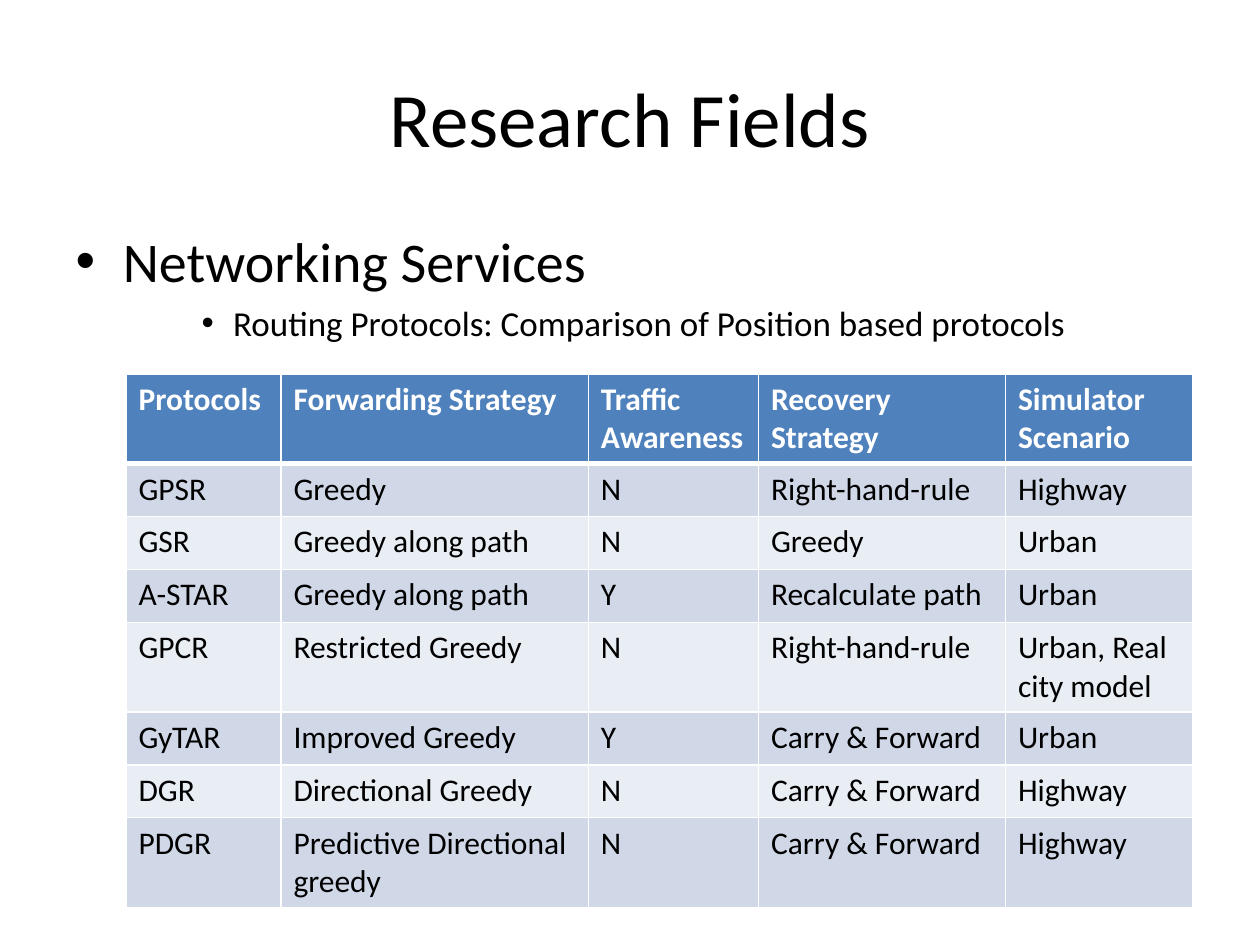
from dataclasses import dataclass

from lxml.etree import SubElement
from pptx import Presentation
from pptx.dml.color import RGBColor as RGB
from pptx.enum.text import MSO_ANCHOR as Anchor, PP_ALIGN as Align
from pptx.oxml.ns import qn
from pptx.util import Inches, Pt


@dataclass(frozen=True)
class Theme:
    font: str = "Calibri"
    text: RGB = RGB(0x00, 0x00, 0x00)
    white: RGB = RGB(0xFF, 0xFF, 0xFF)
    header: RGB = RGB(0x4F, 0x81, 0xBD)
    bands: tuple = (RGB(0xD0, 0xD8, 0xE8), RGB(0xE9, 0xED, 0xF4))
    title_size: int = 44
    topic_size: int = 32
    subtopic_size: int = 20
    table_size: int = 18


THEME = Theme()

COLUMN_WIDTHS = (1.23, 2.44, 1.35, 1.96, 1.49)
HEADER_HEIGHT, ROW_HEIGHT = 0.67, 0.42
PROTOCOLS = (
    ("Protocols", "Forwarding Strategy", "Traffic Awareness",
     "Recovery Strategy", "Simulator Scenario"),
    ("GPSR", "Greedy", "N", "Right-hand-rule", "Highway"),
    ("GSR", "Greedy along path", "N", "Greedy", "Urban"),
    ("A-STAR", "Greedy along path", "Y", "Recalculate path", "Urban"),
    ("GPCR", "Restricted Greedy", "N", "Right-hand-rule", "Urban, Real city model"),
    ("GyTAR", "Improved Greedy", "Y", "Carry & Forward", "Urban"),
    ("DGR", "Directional Greedy", "N", "Carry & Forward", "Highway"),
    ("PDGR", "Predictive Directional greedy", "N", "Carry & Forward", "Highway"),
)


def place(shape, box):
    shape.left, shape.top, shape.width, shape.height = (Inches(v) for v in box)


def style(paragraph, size, color=THEME.text, bold=False):
    font = paragraph.font
    font.name, font.size, font.bold = THEME.font, Pt(size), bold
    font.color.rgb = color


def add_title(slide, box):
    title = slide.shapes.title
    place(title, box)
    title.text_frame.text = "Research Fields"
    title.text_frame.vertical_anchor = Anchor.MIDDLE
    heading = title.text_frame.paragraphs[0]
    heading.alignment = Align.CENTER
    style(heading, THEME.title_size)


def add_topics(slide, box):
    body = slide.placeholders[1]
    place(body, box)
    topic = body.text_frame.paragraphs[0]
    topic.text = "Networking Services"
    style(topic, THEME.topic_size)
    subtopic = body.text_frame.add_paragraph()
    subtopic.text = "Routing Protocols: Comparison of Position based protocols"
    subtopic.level = 2
    style(subtopic, THEME.subtopic_size)


def set_borders(cell, bottom):
    """White rules round a cell; widths in points."""
    properties = cell._tc.get_or_add_tcPr()
    for side, width in (("L", 1), ("R", 1), ("T", 1), ("B", bottom)):
        line = SubElement(properties, qn(f"a:ln{side}"), w=str(Pt(width)))
        fill = SubElement(line, qn("a:solidFill"))
        SubElement(fill, qn("a:srgbClr"), val=str(THEME.white))


def add_protocol_table(slide, left, top):
    heights = [HEADER_HEIGHT] + [ROW_HEIGHT] * (len(PROTOCOLS) - 1)
    table = slide.shapes.add_table(
        len(PROTOCOLS), len(COLUMN_WIDTHS), Inches(left), Inches(top),
        Inches(sum(COLUMN_WIDTHS)), Inches(sum(heights))).table
    for column, width in zip(table.columns, COLUMN_WIDTHS):
        column.width = Inches(width)

    for r, (row, height, entries) in enumerate(zip(table.rows, heights, PROTOCOLS)):
        row.height = Inches(height)
        is_header = r == 0
        for cell, entry in zip(row.cells, entries):
            cell.text = entry
            style(cell.text_frame.paragraphs[0], THEME.table_size,
                  THEME.white if is_header else THEME.text, is_header)
            set_borders(cell, bottom=3 if is_header else 1)
            cell.fill.solid()
            cell.fill.fore_color.rgb = (
                THEME.header if is_header else THEME.bands[(r - 1) % 2])
        if r == 1:  # keep the thick rule under the header
            for cell in row.cells:
                cell._tc.tcPr.find(qn("a:lnT")).set("w", str(Pt(3)))


def main():
    deck = Presentation()
    deck.slide_width, deck.slide_height = Inches(10), Inches(7.5)
    slide = deck.slides.add_slide(deck.slide_layouts[1])
    add_title(slide, (0.5, 0.3, 9, 1.25))
    add_topics(slide, (0.5, 1.75, 9, 4.95))
    add_protocol_table(slide, 1, 2.97)
    deck.save("out.pptx")


if __name__ == "__main__":
    main()
